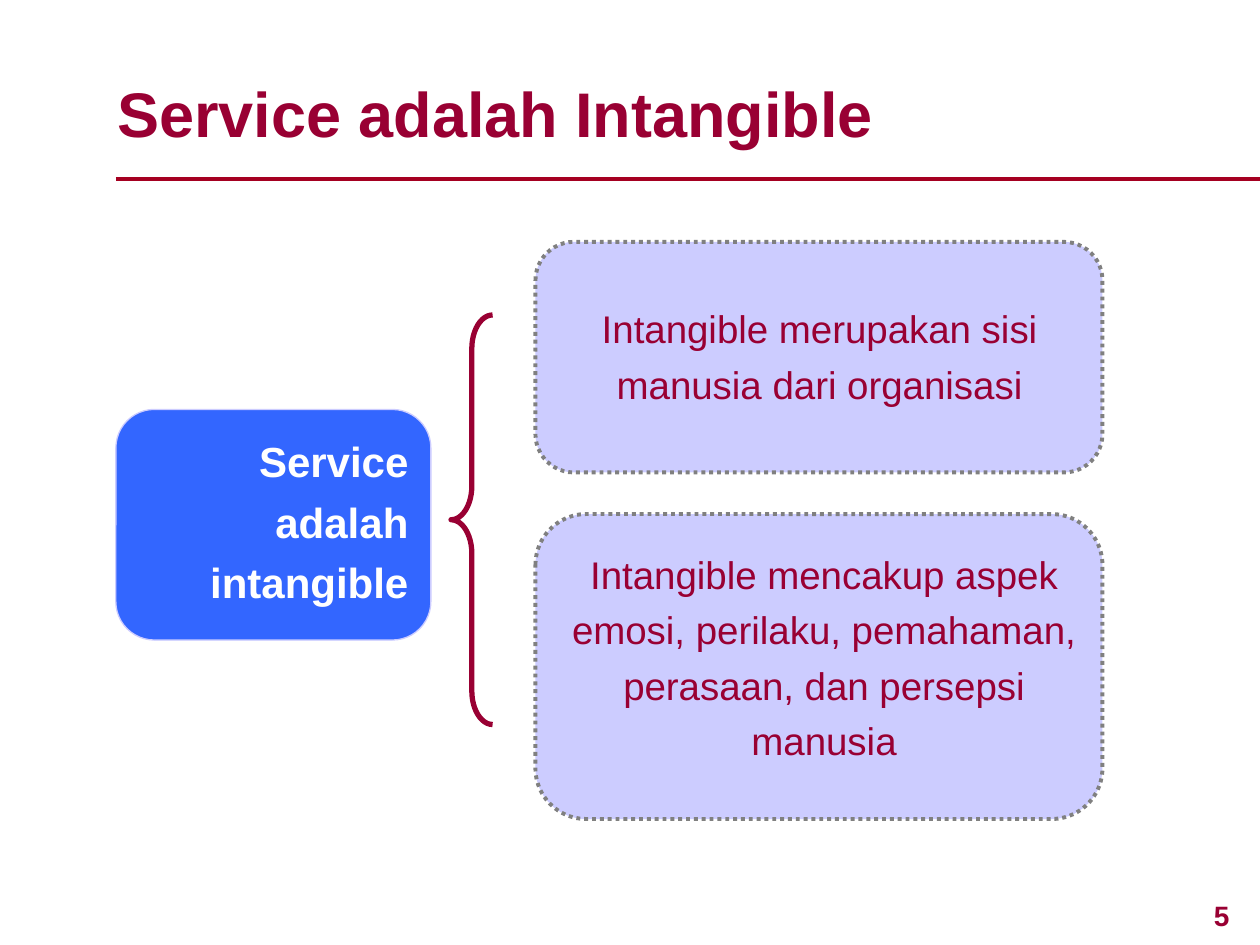
from lxml.etree import SubElement
from pptx import Presentation
from pptx.dml.color import RGBColor
from pptx.enum.dml import MSO_LINE
from pptx.enum.shapes import MSO_CONNECTOR, MSO_SHAPE
from pptx.enum.text import MSO_ANCHOR, MSO_AUTO_SIZE, PP_ALIGN
from pptx.oxml.ns import qn
from pptx.util import Inches, Pt

MAROON = "990033"
RED = "A50021"
LAVENDER = "CCCCFF"
BLUE = "3366FF"
GRAY = "808080"
WHITE = "FFFFFF"


def color(hex_string):
    return RGBColor.from_string(hex_string)


def style_line(line, hex_string, width):
    line.color.rgb = color(hex_string)
    line.width = Pt(width)


def write_text(shape, text, size, hex_string, bold=False, align=PP_ALIGN.LEFT,
               spacing=1.0, anchor=MSO_ANCHOR.TOP):
    text_frame = shape.text_frame
    text_frame.text = text
    text_frame.word_wrap = True
    text_frame.auto_size = MSO_AUTO_SIZE.NONE
    text_frame.vertical_anchor = anchor
    paragraph = text_frame.paragraphs[0]
    paragraph.alignment = align
    paragraph.line_spacing = spacing
    font = paragraph.runs[0].font
    font.name = "Arial"
    font.size = Pt(size)
    font.bold = bold
    font.color.rgb = color(hex_string)


def add_title(slide, text):
    title = slide.shapes.title
    title.left, title.top = Inches(0.83), Inches(0.54)
    title.width, title.height = Inches(6.5), Inches(0.7)
    write_text(title, text, 36, MAROON, bold=True)


def add_text(slide, text, left, top, width, height, size, hex_string, **style):
    box = slide.shapes.add_textbox(Inches(left), Inches(top), Inches(width), Inches(height))
    write_text(box, text, size, hex_string, **style)


def add_panel(slide, left, top, width, height, fill, border, border_width, dash=None):
    panel = slide.shapes.add_shape(MSO_SHAPE.ROUNDED_RECTANGLE, Inches(left), Inches(top),
                                   Inches(width), Inches(height))
    panel.shadow.inherit = False
    panel.fill.solid()
    panel.fill.fore_color.rgb = color(fill)
    style_line(panel.line, border, border_width)
    if dash is not None:
        panel.line.dash_style = dash


def add_rule(slide, left, right, top):
    rule = slide.shapes.add_connector(MSO_CONNECTOR.STRAIGHT, Inches(left), Inches(top),
                                      Inches(right), Inches(top))
    style_line(rule.line, RED, 2.25)
    SubElement(rule.element.spPr, qn("a:effectLst"))


def add_brace(slide, left, top, width, height):
    brace = slide.shapes.add_shape(MSO_SHAPE.LEFT_BRACE, Inches(left), Inches(top),
                                   Inches(width), Inches(height))
    brace.shadow.inherit = False
    brace.adjustments[0] = 0.81
    brace.fill.background()
    style_line(brace.line, MAROON, 3)


def main():
    presentation = Presentation()
    presentation.slide_width = Inches(10)
    presentation.slide_height = Inches(7.5)
    slide = presentation.slides.add_slide(presentation.slide_layouts[5])

    add_title(slide, "Service adalah Intangible")
    add_rule(slide, 0.92, 10, 1.42)
    add_text(slide, "5", 9.39, 7.08, 0.61, 0.37, 16, MAROON, bold=True, align=PP_ALIGN.CENTER)

    for top, height in ((1.92, 1.83), (4.08, 2.42)):
        add_panel(slide, 4.25, top, 4.5, height, LAVENDER, GRAY, 2.25, MSO_LINE.ROUND_DOT)
    add_panel(slide, 0.92, 3.25, 2.5, 1.83, BLUE, LAVENDER, 0.75)

    add_text(slide, "Service adalah intangible", 0.92, 3.33, 2.42, 1.54, 24, WHITE,
             bold=True, align=PP_ALIGN.RIGHT, spacing=1.2)
    add_text(slide, "Intangible merupakan sisi manusia dari organisasi", 4.67, 2.3, 3.67, 0.98,
             22, MAROON, align=PP_ALIGN.CENTER, spacing=1.2, anchor=MSO_ANCHOR.MIDDLE)
    add_text(slide, "Intangible mencakup aspek emosi, perilaku, pemahaman, perasaan, "
             "dan persepsi manusia", 4.33, 4.25, 4.42, 1.86,
             22, MAROON, align=PP_ALIGN.CENTER, spacing=1.2)
    add_brace(slide, 3.58, 2.5, 0.33, 3.25)

    presentation.save("out.pptx")


if __name__ == "__main__":
    main()
